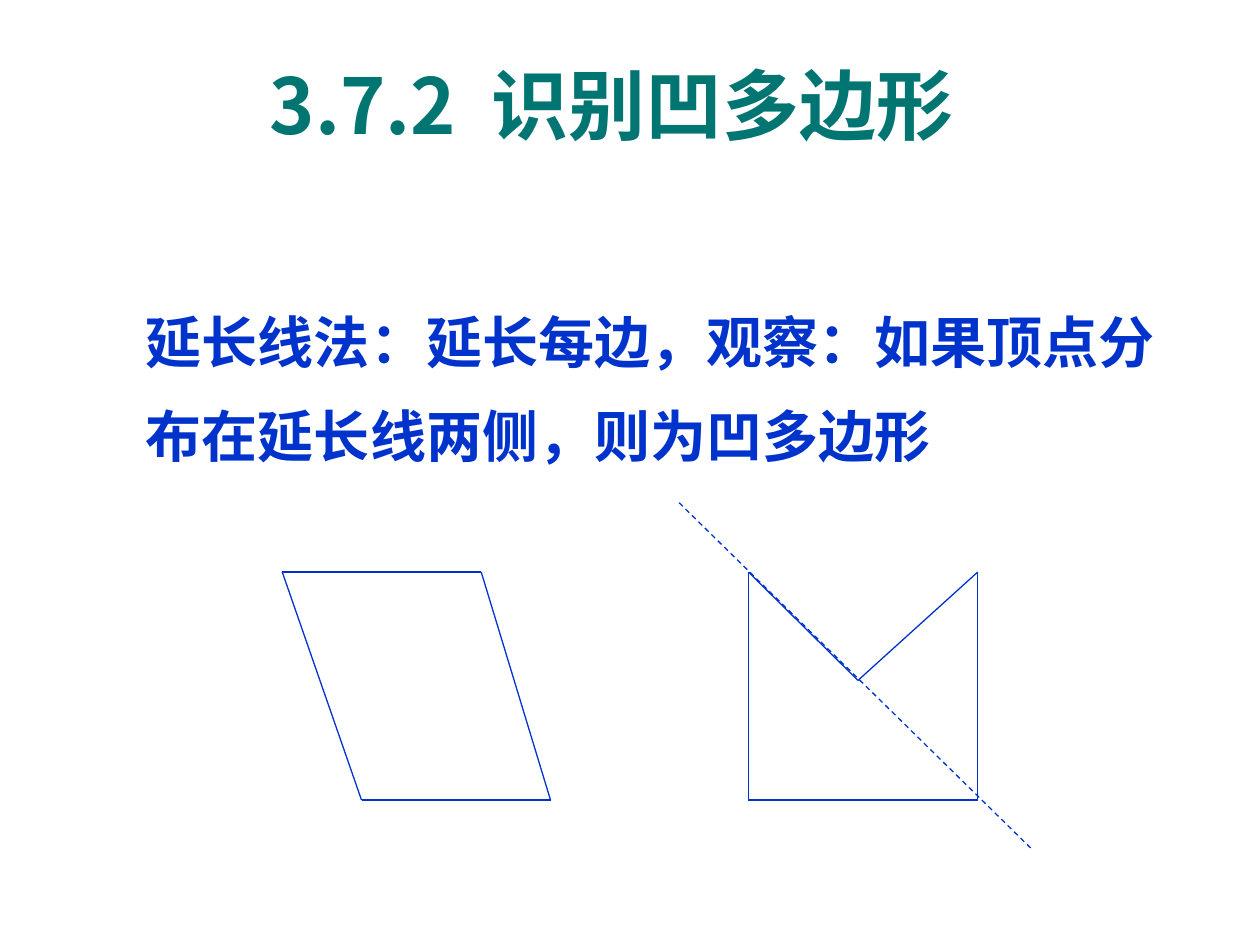
from dataclasses import dataclass

from lxml import etree
from pptx import Presentation
from pptx import util as u
from pptx.dml.color import RGBColor
from pptx.enum import dml, shapes, text
from pptx.oxml.ns import qn

FONT = "Noto Sans CJK SC"
COLORS = {"title": "007572", "blue": "0033CC"}
TOP, BOTTOM = 326.9, 457.2

Point = tuple[float, float]


@dataclass
class TextBlock:
    left: float
    top: float
    width: float
    height: float
    wording: list[str]
    size: float
    color: str
    line_spacing: float
    anchor: text.MSO_ANCHOR
    align: text.PP_ALIGN


BLOCKS = [
    TextBlock(110.2, 18.7, 478.8, 70.6, ["3.7.2", " ", "识别凹多边形"], 44, "title",
              1.2, text.MSO_ANCHOR.MIDDLE, text.PP_ALIGN.CENTER),
    TextBlock(76.3, 157, 612.7, 115.2,
              ["延长线法：延长每边，观察：如果顶点分布在延长线两侧，则为凹多边形"], 32, "blue",
              1.4, text.MSO_ANCHOR.TOP, text.PP_ALIGN.LEFT),
]

CONVEX = [(161.3, TOP), (275, TOP), (314.6, BOTTOM), (206.6, BOTTOM)]
CONCAVE = [(427.7, TOP), (490.3, 388.8), (558.7, TOP), (558.7, BOTTOM), (427.7, BOTTOM)]
EXTENSION = ((388.1, 287.3), (589.7, 485.3))


def add_text(page, block: TextBlock) -> None:
    box = page.shapes.add_textbox(*map(u.Pt, (block.left, block.top, block.width, block.height)))
    frame = box.text_frame
    frame.word_wrap = True
    frame.vertical_anchor = block.anchor
    para = frame.paragraphs[0]
    para.alignment = block.align
    para.line_spacing = block.line_spacing
    for words in block.wording:
        span = para.add_run()
        span.text = words
        if words == " ":  # widen the gap after the section number
            span.font._element.set("spc", "1000")
    font = para.font
    font.size = u.Pt(block.size)
    font.bold = True
    font.color.rgb = RGBColor.from_string(COLORS[block.color])
    font.name = FONT
    etree.SubElement(font._element, qn("a:ea")).set("typeface", FONT)


def add_line(page, start: Point, end: Point, dashed: bool = False) -> None:
    line = page.shapes.add_connector(shapes.MSO_CONNECTOR.STRAIGHT, *map(u.Pt, start + end))
    line.line.color.rgb = RGBColor.from_string(COLORS["blue"])
    line.line.width = u.Pt(0.75)
    if dashed:
        line.line.dash_style = dml.MSO_LINE.DASH
    etree.SubElement(line._element.spPr, qn("a:effectLst"))


def add_polygon(page, corners: list[Point]) -> None:
    """Draw one line per side, closing back to the first corner."""
    for start, end in zip(corners, corners[1:] + corners[:1]):
        add_line(page, start, end)


def main() -> None:
    deck = Presentation()
    deck.slide_width, deck.slide_height = u.Pt(720), u.Pt(540)
    page = deck.slides.add_slide(deck.slide_layouts[6])
    for block in BLOCKS:
        add_text(page, block)
    for corners in (CONVEX, CONCAVE):
        add_polygon(page, corners)
    add_line(page, *EXTENSION, dashed=True)
    deck.save("out.pptx")


if __name__ == "__main__":
    main()
